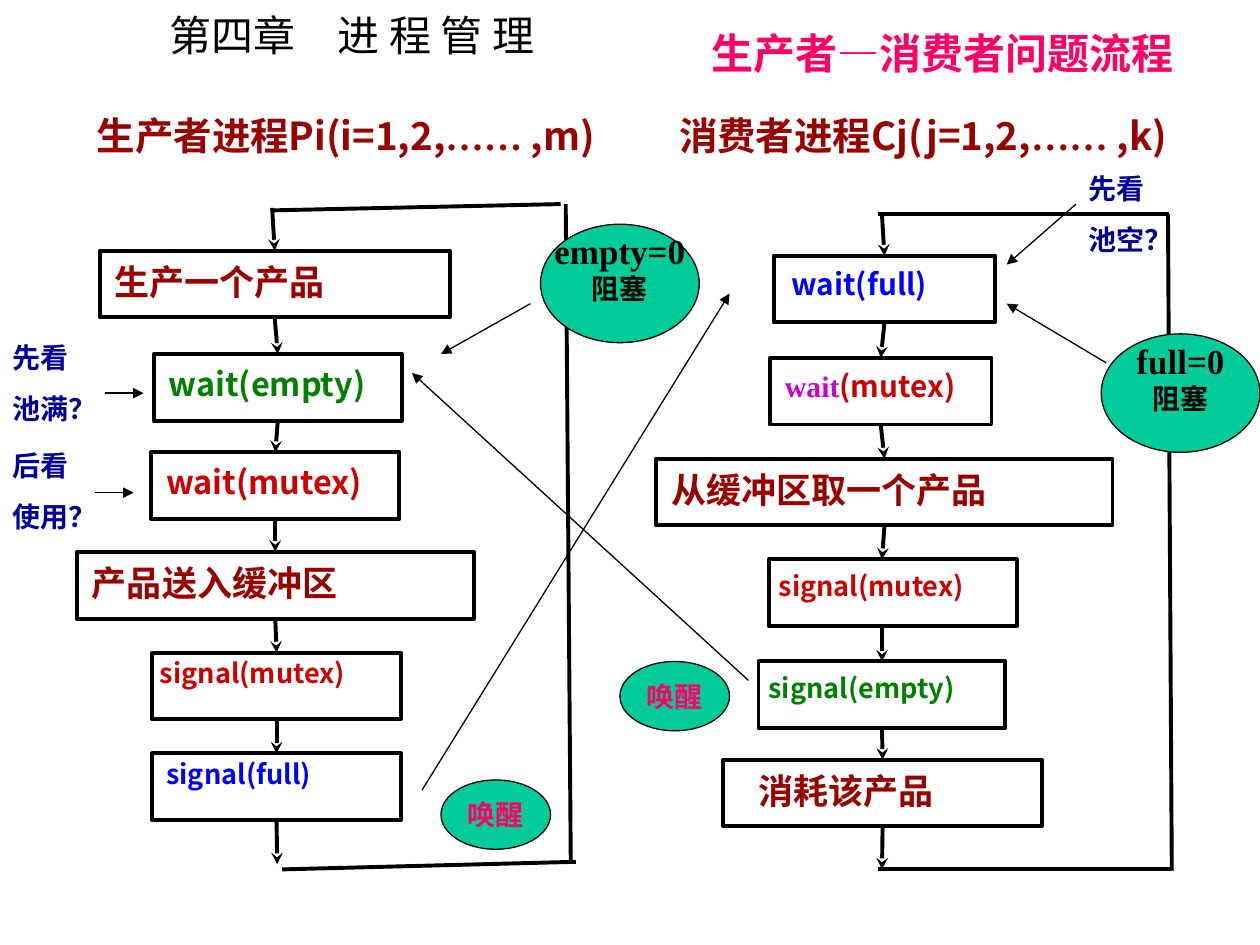
from lxml import etree
from pptx import Presentation
from pptx.dml.color import RGBColor
from pptx.enum.shapes import MSO_CONNECTOR as CONN, MSO_SHAPE as SHAPE
from pptx.enum.text import MSO_ANCHOR as ANCHOR, PP_ALIGN as ALIGN
from pptx.oxml.ns import qn
from pptx.util import Inches, Pt

SANS, SERIF = "Noto Sans CJK SC", "Times New Roman"
BLACK = RGBColor(0x00, 0x00, 0x00)
WHITE = RGBColor(0xFF, 0xFF, 0xFF)
PINK = RGBColor(0xFF, 0x00, 0x66)
MAROON = RGBColor(0x99, 0x00, 0x00)
RED = RGBColor(0xCC, 0x00, 0x00)
GREEN = RGBColor(0x00, 0x80, 0x00)
BLUE = RGBColor(0x00, 0x00, 0xFF)
NAVY = RGBColor(0x00, 0x00, 0x99)
PURPLE = RGBColor(0xCC, 0x00, 0xCC)
TEAL = RGBColor(0x00, 0xCC, 0x99)

BOX_H = 0.53
THICK, THIN = 2.25, 0.75
BOTTOM, TOP = 2, 0
JOIN_TOLERANCE = 0.05

# Each box: left, top, width, left inset, line spacing, size, runs
PRODUCER = [
    (0.79, 1.99, 2.78, 0.12, 1, 20, [("生产一个产品", MAROON, SERIF)]),
    (1.22, 2.81, 1.97, 0.12, 1, 18.5, [("wait(empty)", GREEN, SANS)]),
    (1.20, 3.59, 1.97, 0.12, 1, 18.5, [("wait(mutex)", RED, SANS)]),
    (0.61, 4.38, 3.15, 0.12, 1, 20, [("产品送入缓冲区", MAROON, SERIF)]),
    (1.21, 5.18, 1.97, 0.06, 0.8, 15.5, [("signal(mutex)", RED, SANS)]),
    (1.21, 5.98, 1.97, 0.11, 0.8, 15.5, [("signal(full)", BLUE, SANS)]),
]
CONSUMER = [
    (6.14, 2.03, 1.76, 0.14, 1, 17, [("wait(full)", BLUE, SANS)]),
    (6.11, 2.84, 1.76, 0.12, 1, 17,
     [("wait", PURPLE, SERIF), ("(mutex)", RED, SANS)]),
    (5.21, 3.64, 3.62, 0.12, 1, 20, [("从缓冲区取一个产品", MAROON, SERIF)]),
    (6.10, 4.44, 1.97, 0.08, 1, 15.5, [("signal(mutex)", RED, SANS)]),
    (6.02, 5.25, 1.96, 0.08, 1, 15.5, [("signal(empty)", GREEN, SANS)]),
    (5.74, 6.03, 2.53, 0.28, 1, 20, [("消耗该产品", MAROON, SERIF)]),
]


def set_frame(tf, insets, anchor=ANCHOR.TOP, wrap=True):
    sides = ("margin_left", "margin_top", "margin_right", "margin_bottom")
    for side, inset in zip(sides, insets):
        setattr(tf, side, Inches(inset))
    tf.vertical_anchor, tf.word_wrap = anchor, wrap


def add_runs(p, runs, size, bold=True):
    for text, color, font in runs:
        r = p.add_run()
        r.text = text
        for name, value in {"size": Pt(size), "bold": bold, "name": font}.items():
            setattr(r.font, name, value)
        r.font.color.rgb = color
        east_asian = etree.SubElement(r.font._element, qn("a:ea"))
        east_asian.set("typeface", SANS)


def add_text(s, at, lines, size, bold=True, inset_x=0.1, **frame):
    tf = s.shapes.add_textbox(*map(Inches, at)).text_frame
    set_frame(tf, (inset_x, 0.05, inset_x, 0.05), **frame)
    for i, runs in enumerate(lines):
        p = tf.add_paragraph() if i else tf.paragraphs[0]
        if i:
            p.space_before = Pt(10)
        add_runs(p, runs, size, bold)


def add_outlined(s, kind, at, fill, width):
    sp = s.shapes.add_shape(kind, *map(Inches, at))
    sp.shadow.inherit = False
    sp.fill.solid()
    sp.fill.fore_color.rgb = fill
    sp.line.color.rgb = BLACK
    sp.line.width = Pt(width)
    return sp


def add_box(s, left, top, width, inset, spacing, size, runs):
    sp = add_outlined(s, SHAPE.RECTANGLE, (left, top, width, BOX_H), WHITE, THICK)
    set_frame(sp.text_frame, (inset, 0.08, 0.06, 0.01))
    p = sp.text_frame.paragraphs[0]
    p.alignment, p.line_spacing = ALIGN.LEFT, spacing
    add_runs(p, runs, size)
    return sp


def add_ellipse(s, at, lines, bottom=0.05):
    """lines: (text, size, colour) for each centred paragraph."""
    sp = add_outlined(s, SHAPE.OVAL, at, TEAL, THIN)
    tf = sp.text_frame
    set_frame(tf, (0.1, 0.05, 0.1, bottom), ANCHOR.MIDDLE, False)
    for i, (text, size, color) in enumerate(lines):
        p = tf.add_paragraph() if i else tf.paragraphs[0]
        p.alignment = ALIGN.CENTER
        add_runs(p, [(text, color, SERIF)], size)


def add_line(s, x1, y1, x2, y2, width=THICK, head=None):
    c = s.shapes.add_connector(CONN.STRAIGHT, *map(Inches, (x1, y1, x2, y2)))
    c.line.color.rgb = BLACK
    c.line.width = Pt(width)
    if head:
        etree.SubElement(c.line._get_or_add_ln(), qn("a:tailEnd")).set("type", head)
    etree.SubElement(c._element.spPr, qn("a:effectLst"))
    return c


def add_flow(s, boxes, x, entry_x, entry_y, exit_y):
    """Stack of boxes with an arrow into, between and out of them."""
    shapes = [add_box(s, *box) for box in boxes]
    centred = [abs(b[0] + b[2] / 2 - x) < JOIN_TOLERANCE for b in boxes]
    last = len(boxes) - 1
    for i in range(len(boxes) + 1):
        start = boxes[i - 1][1] + BOX_H if i else entry_y
        end = boxes[i][1] if i <= last else exit_y
        c = add_line(s, x if i else entry_x, start, x if i else entry_x, end,
                     head="stealth")
        if i and centred[i - 1]:
            c.begin_connect(shapes[i - 1], BOTTOM)
        if i <= last and centred[i]:
            c.end_connect(shapes[i], TOP)


def add_headings(s):
    add_text(s, (1.25, 0.03, 3.16, 0.5), [[("第四章　进 程 管 理", BLACK, SANS)]],
             24, bold=False, wrap=False)
    add_text(s, (5.55, 0.17, 4.02, 0.5), [[("生产者—消费者问题流程", PINK, SANS)]], 24)
    for left, width, inset, start, end in (
            (0.67, 4.33, 0.1, "生产者进程Pi(i=1,2,", " ,m)"),
            (5.39, 4.25, 0, "消费者进程Cj(j=1,2,", " ,k)")):
        runs = [(start, MAROON, SANS), ("……", MAROON, SERIF), (end, MAROON, SANS)]
        add_text(s, (left, 0.65, width, 0.84), [runs], 22, inset_x=inset,
                 anchor=ANCHOR.MIDDLE)


def add_loops(s):
    for ends in ((2.16, 1.67, 4.45, 1.62), (4.49, 1.62, 4.53, 6.84),
                 (2.24, 6.9, 4.57, 6.84), (6.97, 1.7, 9.28, 1.7),
                 (9.27, 1.7, 9.3, 6.91), (6.97, 6.9, 9.29, 6.9)):
        add_line(s, *ends)


def add_notes(s):
    for ends in ((3.35, 6.27, 5.79, 2.33), (5.94, 5.4, 3.27, 2.96),
                 (0.83, 3.12, 1.14, 3.12), (0.75, 3.91, 1.06, 3.91),
                 (4.21, 2.41, 3.5, 2.81), (8.78, 2.88, 7.99, 2.41),
                 (8.54, 1.62, 7.99, 2.1)):
        add_line(s, *ends, width=THIN, head="triangle")
    for left, top in ((3.5, 6.19), (4.92, 5.25)):
        add_ellipse(s, (left, top, 0.87, 0.55), [("唤醒", 16, PINK)])
    for left, top, state in ((4.29, 1.78, "empty=0"), (8.74, 2.65, "full=0")):
        add_ellipse(s, (left, top, 1.26, 0.94),
                    [(state, 20, BLACK), ("阻塞", 16, BLACK)], bottom=0.3)
    for left, top, width, lines in ((0, 2.65, 0.9, ("先看", "池满？")),
                                    (0, 3.51, 1.06, ("后看", "使用？")),
                                    (8.54, 1.31, 0.9, ("先看", "池空？"))):
        add_text(s, (left, top, width, 0.77),
                 [[(line, NAVY, SERIF)] for line in lines], 16)


def main():
    prs = Presentation()
    prs.slide_width, prs.slide_height = Inches(10), Inches(7.5)
    s = prs.slides.add_slide(prs.slide_layouts[6])
    add_headings(s)
    add_loops(s)
    add_flow(s, PRODUCER, x=2.2, entry_x=2.16, entry_y=1.65, exit_y=6.86)
    add_flow(s, CONSUMER, x=7, entry_x=7, entry_y=1.71, exit_y=6.9)
    add_notes(s)
    prs.save("out.pptx")


if __name__ == "__main__":
    main()
